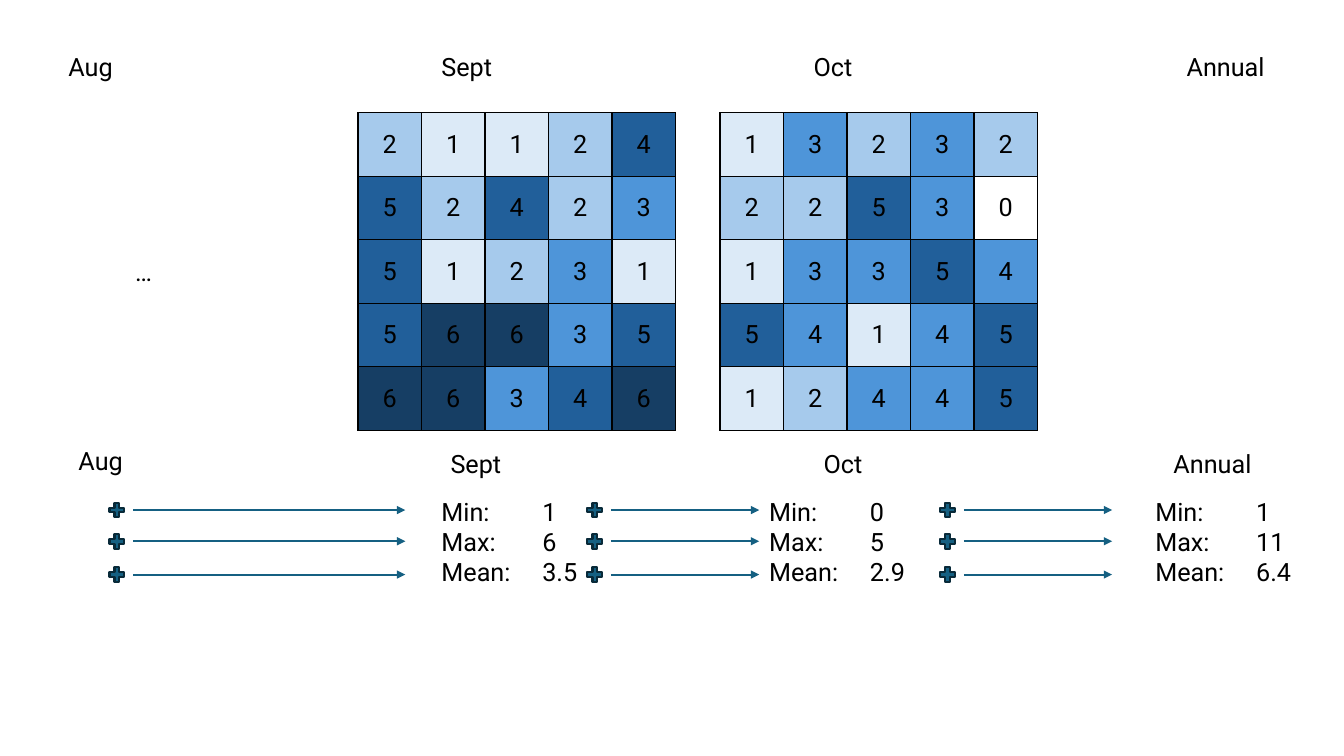
"""Build the slide of monthly grids and their running statistics."""
from dataclasses import dataclass
from typing import Optional

from lxml.etree import SubElement
from pptx import Presentation
from pptx.dml.color import RGBColor as RGB
from pptx.enum.shapes import MSO_CONNECTOR as Link, MSO_SHAPE as Kind
from pptx.enum.text import MSO_ANCHOR as Anchor, MSO_AUTO_SIZE as Auto, PP_ALIGN as Align
from pptx.oxml import parse_xml
from pptx.oxml.ns import nsdecls, qn
from pptx.shapes.base import BaseShape as Shape
from pptx.shapes.shapetree import SlideShapes as Tree
from pptx.text.text import _Paragraph as Para
from pptx.util import Inches, Pt

HUES = {
    "text": "000000", "edge": "000000", "line": "156082", "rim": "092A39",
    "white": "FFFFFF", "pale": "DCEAF7", "light": "A6CAEC",
    "mid": "4E95D9", "deep": "215F9A", "dark": "163E64",
}
CELL = 0.63
PLUS = 0.2
ROWS = (5.06, 5.37, 5.7)


@dataclass
class Grid:
    """A square of counts, with a shade for each count from zero up."""
    left: float
    rows: list[str]
    scale: list[str]


@dataclass
class Label:
    """A text box with one line or more."""
    left: float
    top: float
    text: str
    high: float = 0.4
    align: Optional[Align] = None


@dataclass
class Flow:
    """A stack of arrows, which may lead into a box of statistics."""
    start: float
    end: float
    goal: Optional[str] = None


GRIDS = [
    Grid(3.55, ["21124", "52423", "51231", "56635", "66346"],
         ["white", "pale", "light", "mid", "deep", "deep", "dark"]),
    Grid(7.14, ["13232", "22530", "13354", "54145", "12445"],
         ["white", "pale", "light", "mid", "mid", "deep", "dark"]),
]
LABELS = [
    Label(0.58, 0.46, "Aug"), Label(4.28, 0.46, "Sept"),
    Label(7.97, 0.46, "Oct"), Label(11.67, 0.46, "Annual"),
    Label(0.58, 2.49, "…", align=Align.CENTER),
    Label(0.68, 4.37, "Aug"), Label(4.37, 4.4, "Sept"),
    Label(8.07, 4.4, "Oct"), Label(11.54, 4.4, "Annual"),
]
STATS = {
    "Sept": Label(4.28, 4.87, "Min:\t1\nMax:\t6\nMean: \t3.5", 1),
    "Oct": Label(7.53, 4.87, "Min:\t0\nMax:\t5\nMean: \t2.9", 1),
    "Annual": Label(11.36, 4.87, "Min:\t1\nMax:\t11\nMean: \t6.4", 1),
}
FLOWS = [Flow(1.32, 4.02), Flow(6.06, 7.53, "Oct"), Flow(9.56, 11.03)]


def hue(name: str) -> RGB:
    """Return a named colour."""
    return RGB.from_string(HUES[name])


def style(para: Para, align: Optional[Align]) -> None:
    """Set the font and alignment of a paragraph."""
    para.alignment = align
    para.font.name = "Roboto"
    para.font.size = Pt(18)
    para.font.color.rgb = hue("text")


def add_grid(tree: Tree, grid: Grid) -> None:
    """Draw a shaded table of counts."""
    size = len(grid.rows)
    side = Inches(CELL * size)
    table = tree.add_table(size, size, Inches(grid.left), Inches(1.12), side, side).table
    table.first_row = table.horz_banding = False
    for line in (*table.rows, *table.columns):
        if line in table.rows:
            line.height = Inches(CELL)
        else:
            line.width = Inches(CELL)
    for y, row in enumerate(grid.rows):
        for x, count in enumerate(row):
            cell = table.cell(y, x)
            cell.text = count
            cell.vertical_anchor = Anchor.MIDDLE
            style(cell.text_frame.paragraphs[0], Align.CENTER)
            props = cell._tc.get_or_add_tcPr()
            for edge in ("lnL", "lnR", "lnT", "lnB"):
                props.append(parse_xml(
                    f'<a:{edge} {nsdecls("a")} w="12700"><a:solidFill>'
                    f'<a:srgbClr val="{HUES["edge"]}"/></a:solidFill></a:{edge}>'))
            cell.fill.solid()
            cell.fill.fore_color.rgb = hue(grid.scale[int(count)])


def add_label(tree: Tree, label: Label) -> Shape:
    """Draw a text box, with a tab stop where its lines have tabs."""
    box = tree.add_textbox(Inches(label.left), Inches(label.top),
                           Inches(1.69), Inches(label.high))
    frame = box.text_frame
    frame.word_wrap = True
    frame.auto_size = Auto.SHAPE_TO_FIT_TEXT
    frame.text = label.text
    for para in frame.paragraphs:
        style(para, label.align)
        if "\t" in para.text:
            tabs = parse_xml(f'<a:tabLst {nsdecls("a")}>'
                             f'<a:tab pos="{Inches(1)}" algn="l"/></a:tabLst>')
            para._p.get_or_add_pPr().insert(0, tabs)
    return box


def add_flow(tree: Tree, flow: Flow, boxes: dict[str, Shape]) -> None:
    """Draw a plus sign and an arrow on each row."""
    for y in ROWS:
        arrow = tree.add_connector(Link.STRAIGHT, Inches(flow.start), Inches(y),
                                   Inches(flow.end), Inches(y))
        if flow.goal and y == ROWS[1]:
            arrow.end_connect(boxes[flow.goal], 1)
        arrow.line.color.rgb = hue("line")
        arrow.line.width = Pt(1.5)
        SubElement(arrow.line._get_or_add_ln(), qn("a:tailEnd"), type="triangle")
        SubElement(arrow._element.spPr, qn("a:effectLst"))
        plus = tree.add_shape(Kind.MATH_PLUS, Inches(flow.start - 0.26),
                              Inches(y - PLUS / 2), Inches(PLUS), Inches(PLUS))
        plus.shadow.inherit = False
        plus.fill.solid()
        plus.fill.fore_color.rgb = hue("line")
        plus.line.color.rgb = hue("rim")
        plus.line.width = Pt(1.5)


def main() -> None:
    """Build and save the slide."""
    deck = Presentation()
    deck.slide_width, deck.slide_height = Inches(13.33), Inches(7.5)
    tree = deck.slides.add_slide(deck.slide_layouts[6]).shapes
    for grid in GRIDS:
        add_grid(tree, grid)
    for label in LABELS:
        add_label(tree, label)
    boxes = {name: add_label(tree, label) for name, label in STATS.items()}
    for flow in FLOWS:
        add_flow(tree, flow, boxes)
    deck.save("out.pptx")


if __name__ == "__main__":
    main()
